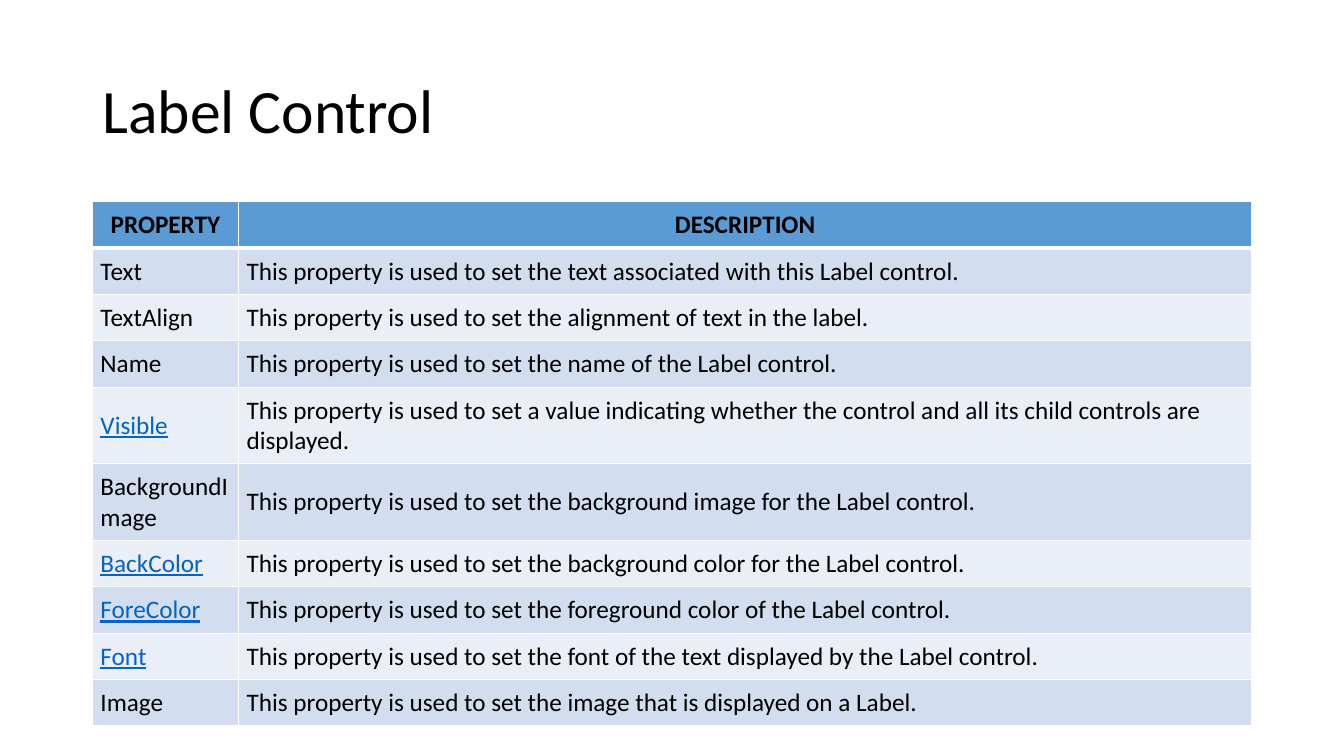
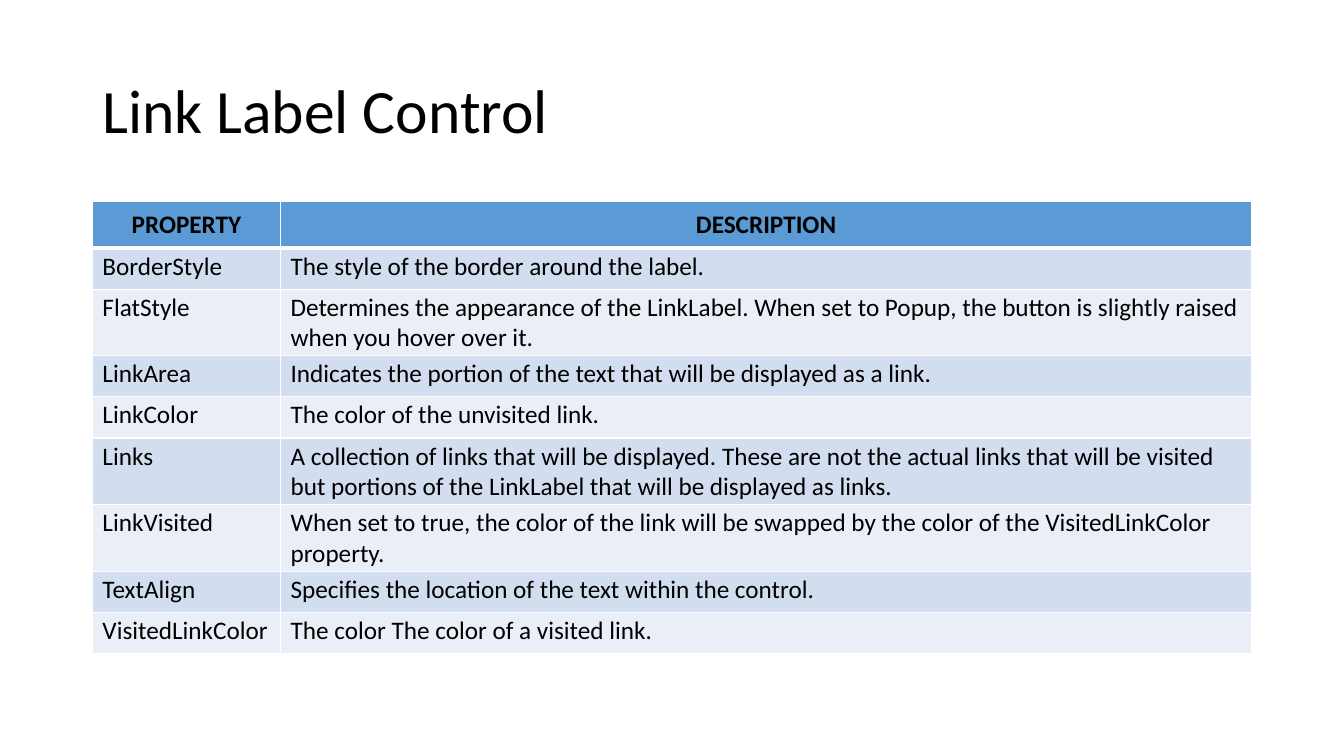
from lxml import etree
from pptx import Presentation
from pptx import util as u
from pptx.dml.color import RGBColor
from pptx.enum import text
from pptx.oxml.ns import qn

COLORS = {
    "ink": "000000",
    "link": "0563C1",
    "header": "5B9BD5",
    "band_dark": "D2DEEF",
    "band_light": "EAEFF7",
    "rule": "FFFFFF",
}
FONT = "Calibri"
GRID_COLUMNS, GRID_ROWS = 160, 90
HEADINGS = ("PROPERTY", "DESCRIPTION")


def color(name):
    return RGBColor.from_string(COLORS[name])


def write(frame, content, size=18, ink="ink", bold=False, underline=False,
          align=text.PP_ALIGN.LEFT, spacing=1.0):
    paragraph = frame.paragraphs[0]
    paragraph.alignment = align
    paragraph.line_spacing = spacing
    run = paragraph.add_run()
    run.text = content
    run.font.name = FONT
    run.font.size = u.Pt(size)
    run.font.bold = bold
    run.font.underline = underline
    run.font.color.rgb = color(ink)


class Deck:
    left, width = 11, 138
    title_top, title_height = 4.8, 17.4
    table_top, row_height = 24, 4.9

    def __init__(self):
        self.presentation = Presentation()
        self.presentation.slide_width = u.Inches(13.33)
        self.presentation.slide_height = u.Inches(7.5)
        self.slide = None

    def across(self, columns):
        return round(self.presentation.slide_width * columns / GRID_COLUMNS)

    def down(self, rows):
        return round(self.presentation.slide_height * rows / GRID_ROWS)

    def add_slide(self, title):
        layout = self.presentation.slide_layouts[6]
        self.slide = self.presentation.slides.add_slide(layout)
        shape = self.slide.shapes.add_textbox(
            self.across(self.left), self.down(self.title_top),
            self.across(self.width), self.down(self.title_height))
        frame = shape.text_frame
        frame.word_wrap = True
        frame.vertical_anchor = text.MSO_ANCHOR.MIDDLE
        write(frame, title, size=44, spacing=0.9)

    def add_borders(self, cell, top, bottom):
        properties = cell._tc.get_or_add_tcPr()
        for side, points in (("L", 1), ("R", 1), ("T", top), ("B", bottom)):
            line = etree.SubElement(properties, qn(f"a:ln{side}"), w=str(u.Pt(points)))
            fill = etree.SubElement(line, qn("a:solidFill"))
            etree.SubElement(fill, qn("a:srgbClr"), val=COLORS["rule"])

    def add_cell(self, cell, content, fill, margins, anchor, top=1, bottom=1, **style):
        self.add_borders(cell, top, bottom)
        cell.fill.solid()
        cell.fill.fore_color.rgb = color(fill)
        cell.margin_left = cell.margin_right = u.Inches(margins[0])
        cell.margin_top = cell.margin_bottom = u.Inches(margins[1])
        cell.vertical_anchor = anchor
        write(cell.text_frame, content, **style)

    def add_property_table(self, entries, name_width, margins, anchor, linked=()):
        count = len(entries) + 1
        table = self.slide.shapes.add_table(
            count, len(HEADINGS), self.across(self.left), self.down(self.table_top),
            self.across(self.width), self.down(self.row_height * count)).table
        table.first_row = table.horz_banding = False
        for column, width in zip(table.columns, (name_width, self.width - name_width)):
            column.width = self.across(width)
        for index, heading in enumerate(HEADINGS):
            self.add_cell(table.cell(0, index), heading, "header", (0.08, 0.08),
                          text.MSO_ANCHOR.MIDDLE, bottom=3, bold=True,
                          align=text.PP_ALIGN.CENTER)
        for row, entry in enumerate(entries, 1):
            for index, content in enumerate(entry):
                is_link = index == 0 and content in linked
                self.add_cell(table.cell(row, index), content,
                              "band_dark" if row % 2 else "band_light",
                              margins, anchor, top=3 if row == 1 else 1,
                              ink="link" if is_link else "ink", underline=is_link)


LABEL_PROPERTIES = [
    ("Text", "This property is used to set the text associated with this Label control."),
    ("TextAlign", "This property is used to set the alignment of text in the label."),
    ("Name", "This property is used to set the name of the Label control."),
    ("Visible", "This property is used to set a value indicating whether the control "
                "and all its child controls are displayed."),
    ("BackgroundImage", "This property is used to set the background image for the Label control."),
    ("BackColor", "This property is used to set the background color for the Label control."),
    ("ForeColor", "This property is used to set the foreground color of the Label control."),
    ("Font", "This property is used to set the font of the text displayed by the Label control."),
    ("Image", "This property is used to set the image that is displayed on a Label."),
]
LINK_LABEL_PROPERTIES = [
    ("BorderStyle", "The style of the border around the label."),
    ("FlatStyle", "Determines the appearance of the LinkLabel. When set to Popup, "
                  "the button is slightly raised when you hover over it."),
    ("LinkArea", "Indicates the portion of the text that will be displayed as a link."),
    ("LinkColor", "The color of the unvisited link."),
    ("Links", "A collection of links that will be displayed. These are not the actual links "
              "that will be visited but portions of the LinkLabel that will be displayed as links."),
    ("LinkVisited", "When set to true, the color of the link will be swapped by the color of "
                    "the VisitedLinkColor property."),
    ("TextAlign", "Specifies the location of the text within the control."),
    ("VisitedLinkColor", "The color The color of a visited link."),
]


def main():
    deck = Deck()
    deck.add_slide("Label Control")
    deck.add_property_table(LABEL_PROPERTIES, 17.4, (0.08, 0.08), text.MSO_ANCHOR.MIDDLE,
                            linked=("Visible", "BackColor", "ForeColor", "Font"))
    deck.add_slide("Link Label Control")
    deck.add_property_table(LINK_LABEL_PROPERTIES, 22.4, (0.1, 0.03), text.MSO_ANCHOR.TOP)
    deck.presentation.save("out.pptx")


if __name__ == "__main__":
    main()
